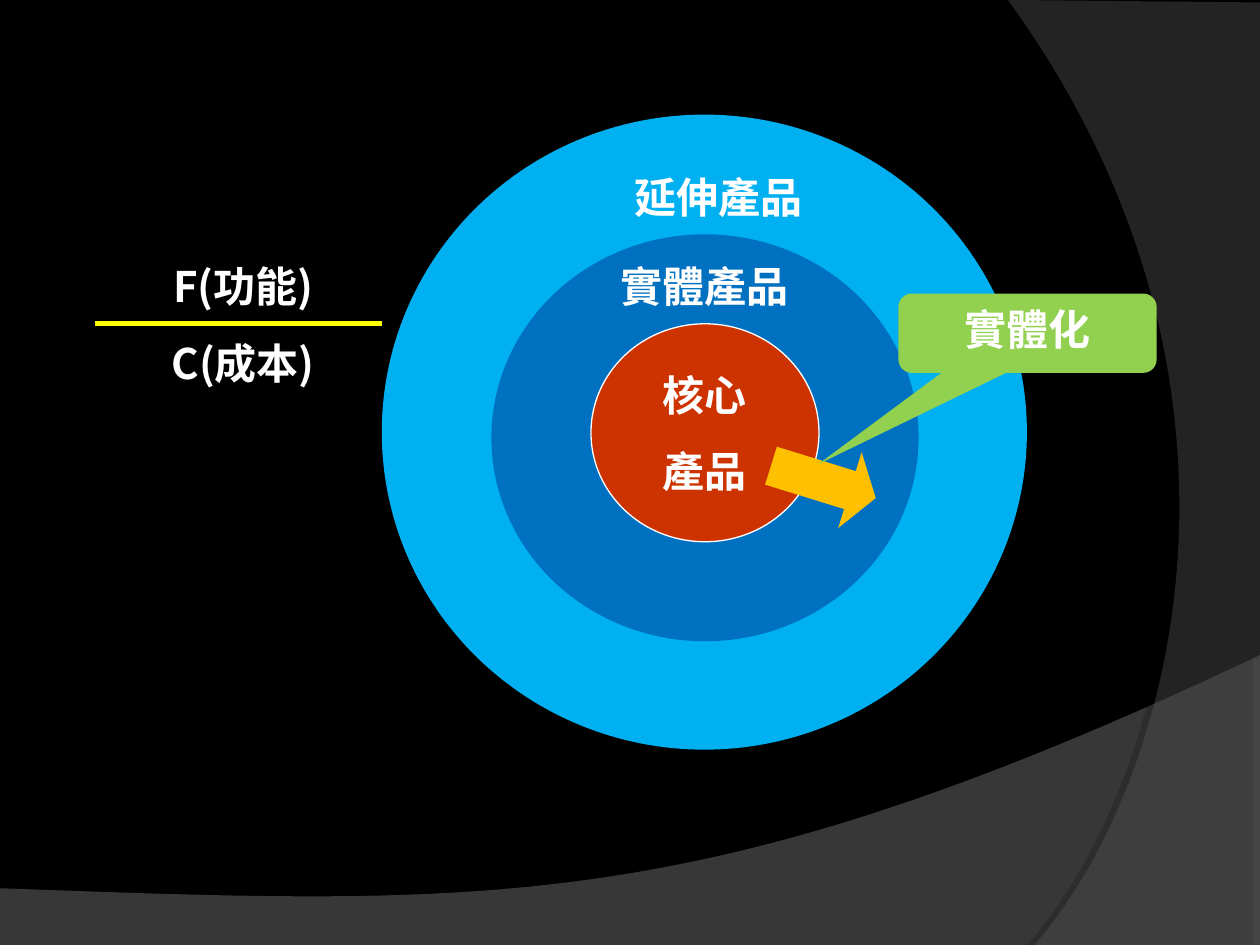
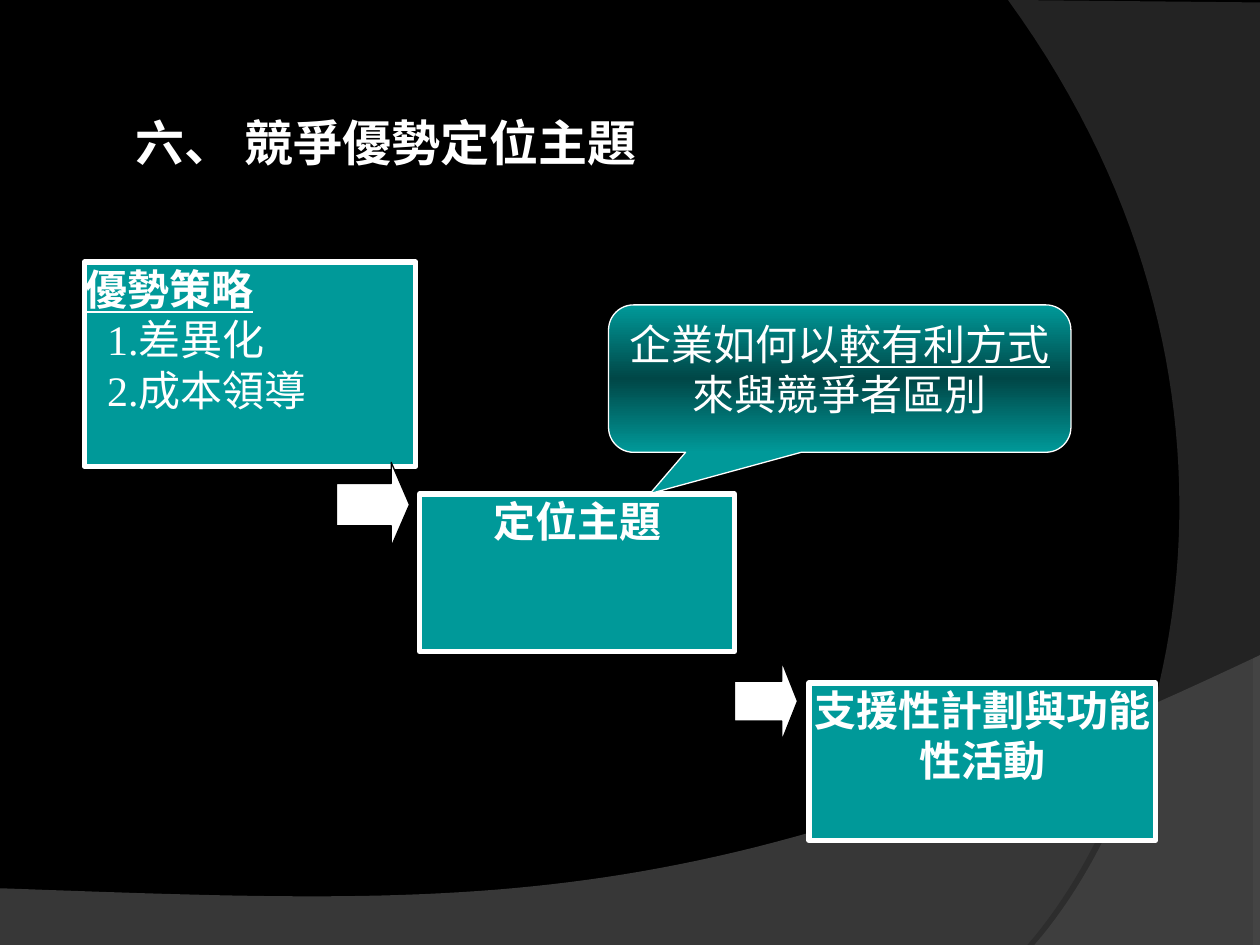
from copy import deepcopy

from lxml import etree
from pptx import Presentation
from pptx.dml.color import RGBColor
from pptx.enum.shapes import MSO_CONNECTOR, MSO_SHAPE
from pptx.enum.text import MSO_ANCHOR, MSO_AUTO_SIZE, PP_ALIGN
from pptx.oxml.ns import qn
from pptx.util import Pt

PX = 9144  # 100 px to the inch
CJK, SERIF = "Noto Sans CJK SC", "Times New Roman"
LEFT, CENTER = PP_ALIGN.LEFT, PP_ALIGN.CENTER
OVAL, RECT = MSO_SHAPE.OVAL, MSO_SHAPE.RECTANGLE
ARROW, CALLOUT = MSO_SHAPE.RIGHT_ARROW, MSO_SHAPE.ROUNDED_RECTANGULAR_CALLOUT
COLORS = {name: RGBColor.from_string(value) for name, value in {
    "black": "000000", "white": "FFFFFF", "low band": "7C7C7C", "side band": "595959",
    "sky": "00B0F0", "blue": "0070C0", "red": "CC3300", "amber": "FFC000",
    "green": "92D050", "yellow": "FFFF00", "teal": "009999", "dark teal": "004747",
}.items()}


def add_figure(slide, preset, box, fill, line=None, width=0.75, adjust=()):
    """Add a flat preset shape; without a line colour it has no outline."""
    figure = slide.shapes.add_shape(preset, *(n * PX for n in box))
    figure.shadow.inherit = False
    figure.fill.solid()
    figure.fill.fore_color.rgb = COLORS[fill]
    if line:
        figure.line.color.rgb = COLORS[line]
        figure.line.width = Pt(width)
    else:
        figure.line.fill.background()
    for i, value in enumerate(adjust):
        figure.adjustments[i] = value
    return figure


def write(holder, paragraphs, size=24, font=CJK, bold=True, align=CENTER,
          before=0, inset=(10, 5), grow=False):
    """Fill a shape's text; a paragraph is a list of (text, run and indent overrides)."""
    frame = holder.text_frame
    frame.word_wrap = True
    frame.vertical_anchor = MSO_ANCHOR.TOP
    frame.auto_size = MSO_AUTO_SIZE.SHAPE_TO_FIT_TEXT if grow else MSO_AUTO_SIZE.NONE
    frame.margin_left = frame.margin_right = inset[0] * PX
    frame.margin_top = frame.margin_bottom = inset[1] * PX
    for i, runs in enumerate(paragraphs):
        paragraph = frame.add_paragraph() if i else frame.paragraphs[0]
        paragraph.alignment = align
        paragraph.space_before = Pt(before)
        for words, special in runs:
            run = paragraph.add_run()
            run.text = words
            run.font.name = font
            run.font.size = Pt(size)
            run.font.bold = special.get("bold", bold)
            run.font.underline = special.get("underline", False)
            run.font.color.rgb = COLORS["white"]
            etree.SubElement(run.font._element, qn("a:ea"), typeface=CJK)
            if "indent" in special:
                paragraph._p.get_or_add_pPr().set("marL", str(special["indent"] * PX))


deck = Presentation()
deck.slide_width, deck.slide_height = 1000 * PX, 750 * PX
product_slide, strategy_slide = (deck.slides.add_slide(deck.slide_layouts[6]) for _ in range(2))

# Shared background: corners, curve, colour, opacity, then shadow opacity, distance, angle
BANDS = [
    ([(0, 705), (0, 750), (1000, 750)],
     [(1000, 520), (559, 729), (391, 719), (0, 705)], "low band", 45, 35, 3.5, 270),
    ([(1000, 2), (1000, 750)],
     [(821, 750), (935, 619), (1018, 300), (800, 0)], "side band", 40, 45, 4, 180),
]
CURVE_STEPS = 60
for slide in (product_slide, strategy_slide):
    slide.background.fill.solid()
    slide.background.fill.fore_color.rgb = COLORS["black"]
    for corners, curve, color, opacity, shade, distance, angle in BANDS:
        outline = list(corners)
        for step in range(CURVE_STEPS + 1):
            t = step / CURVE_STEPS
            weights = ((1 - t) ** 3, 3 * t * (1 - t) ** 2, 3 * t * t * (1 - t), t ** 3)
            outline.append([sum(w * p[axis] for w, p in zip(weights, curve)) for axis in (0, 1)])
        points = [(round(x * PX), round(y * PX)) for x, y in outline]
        builder = slide.shapes.build_freeform(*points[0])
        builder.add_line_segments(points[1:], close=True)
        band = builder.convert_to_shape()
        band.shadow.inherit = False
        band.line.fill.background()
        band.fill.solid()
        band.fill.fore_color.rgb = COLORS[color]
        properties = band._element.spPr
        tint = properties.find(qn("a:solidFill")).find(qn("a:srgbClr"))
        etree.SubElement(tint, qn("a:alpha"), val=str(opacity * 1000))
        shadow = etree.SubElement(properties.find(qn("a:effectLst")), qn("a:outerShdw"),
                                  blurRad="0", dist=str(Pt(distance)),
                                  dir=str(angle * 60000), algn="ctr", rotWithShape="0")
        shadow_color = etree.SubElement(shadow, qn("a:srgbClr"), val=str(COLORS["black"]))
        etree.SubElement(shadow_color, qn("a:alpha"), val=str(shade * 1000))

# Slide 1: product rings
for box, fill, line in [((303, 91, 512, 504), "sky", None),
                        ((390, 186, 339, 323), "blue", None),
                        ((469, 257, 181, 173), "red", "white")]:
    add_figure(product_slide, OVAL, box, fill, line)

for box, lines in [((484, 288, 150, 111), ["核心", "產品"]),
                   ((469, 202, 181, 50), ["實體產品"]),
                   ((476, 131, 189, 50), ["延伸產品"]),
                   ((114, 202, 158, 111), ["F(功能)", "C(成本)"])]:
    label = product_slide.shapes.add_textbox(*(n * PX for n in box))
    write(label, [[(words, {})] for words in lines], before=15, grow=True)

outward = add_figure(product_slide, ARROW, (610, 351, 87, 63), "amber", adjust=(0.5, 0.34))
outward.rotation = 17.2
realization = add_figure(product_slide, CALLOUT, (713, 233, 205, 63), "green",
                         adjust=(-0.81, 1.65, 0.17))
write(realization, [[("實體化", {})]])

fraction_bar = product_slide.shapes.add_connector(
    MSO_CONNECTOR.STRAIGHT, 75 * PX, 257 * PX, 303 * PX, 257 * PX)
fraction_bar.line.color.rgb = COLORS["yellow"]
fraction_bar.line.width = Pt(3)
etree.SubElement(fraction_bar._element.spPr, qn("a:effectLst"))

# Slide 2: steps from strategy to supporting activities
title = strategy_slide.shapes.add_textbox(98 * PX, 84 * PX, 800 * PX, 57 * PX)
write(title, [[("六、 競爭優勢定位主題", {})]], size=28, align=LEFT, before=17.5, grow=True)

item = {"bold": False, "indent": 17}
STEPS = [
    ((67, 208, 263, 162), LEFT, SERIF, [[("優勢策略", {"underline": True})],
                                        [("1.差異化", item)], [("2.成本領導", item)]]),
    ((333, 392, 250, 125), CENTER, CJK, [[("定位主題", {})]]),
    ((642, 542, 275, 125), CENTER, SERIF, [[("支援性計劃與功能性活動", {})]]),
]
for box, align, font, paragraphs in STEPS:
    step_box = add_figure(strategy_slide, RECT, box, "teal", "white", 3)
    write(step_box, paragraphs, font=font, align=align, inset=(1, 1))

for box in [(267, 367, 58, 67), (583, 525, 50, 63)]:
    add_figure(strategy_slide, ARROW, box, "white", "black", adjust=(0.5, 0.25))

question = add_figure(strategy_slide, CALLOUT, (483, 242, 367, 117), "teal", "white",
                      adjust=(-0.41, 0.78, 0.17))
question.fill.gradient()
question.fill.gradient_angle = 90
stop_list = question._element.spPr.find(qn("a:gradFill")).find(qn("a:gsLst"))
stop_list.append(deepcopy(stop_list[0]))
for stop, position, color in zip(question.fill.gradient_stops, (0, 0.5, 1),
                                 ("teal", "dark teal", "teal")):
    stop.position = position
    stop.color.rgb = COLORS[color]
write(question, [[("企業如何以", {}), ("較有利方式", {"underline": True}),
                  ("來與競爭者區別", {})]], bold=False)

deck.save("out.pptx")
